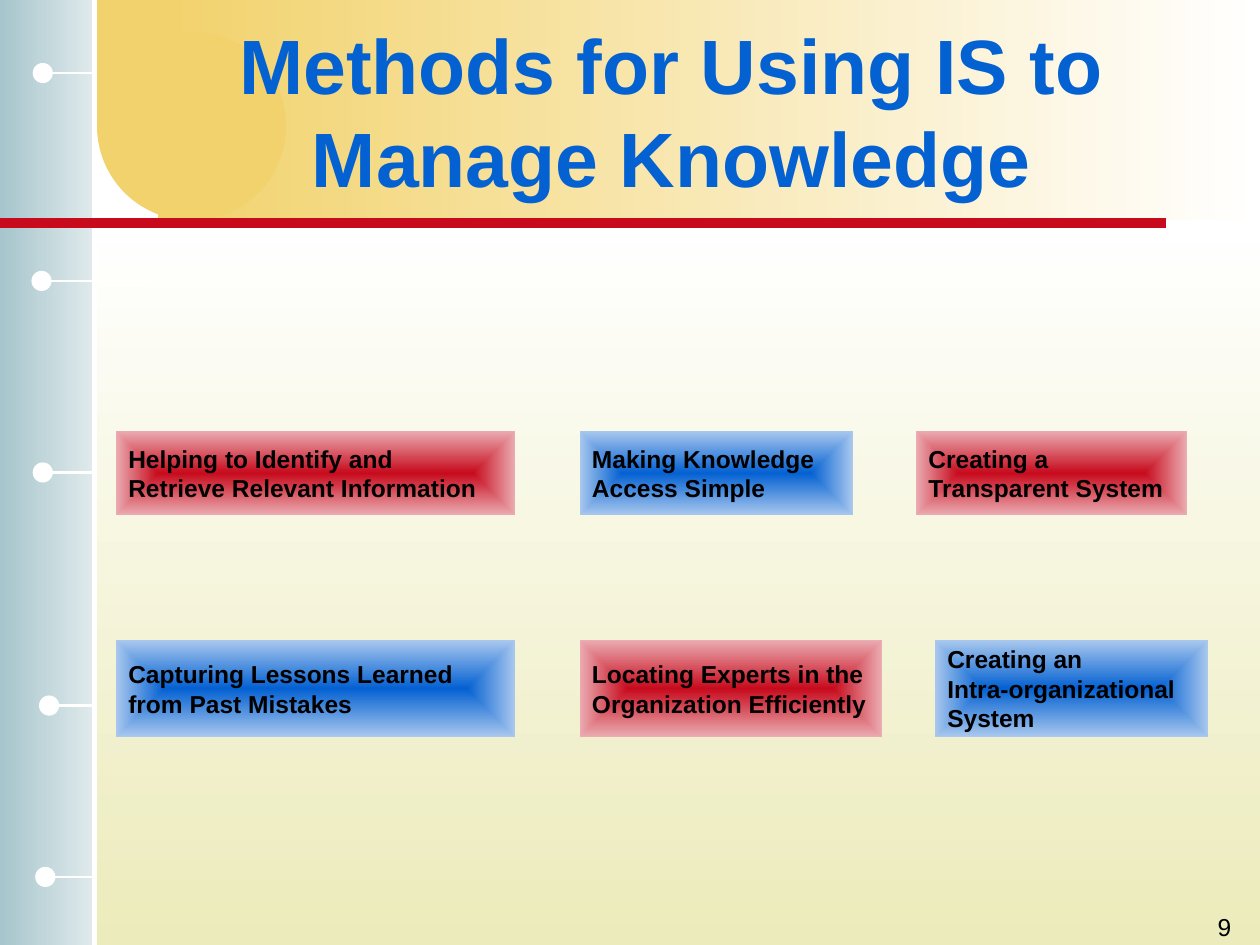
from pptx import Presentation
from pptx.dml.color import RGBColor
from pptx.enum import shapes, text
from pptx.oxml import parse_xml
from pptx.oxml import ns
from pptx.util import Inches, Pt

# Content
TITLE = "Methods for Using IS to Manage Knowledge"
PAGE_NUMBER = "9"
# Rows of methods: top, height, then (left, width, tone, lines)
METHOD_ROWS = [
    (3.42, 0.67, [
        (0.92, 3.17, "red", ["Helping to Identify and", "Retrieve Relevant Information"]),
        (4.6, 2.17, "blue", ["Making Knowledge", "Access Simple"]),
        (7.27, 2.15, "red", ["Creating a", "Transparent System"]),
    ]),
    (5.08, 0.77, [
        (0.92, 3.17, "blue", ["Capturing Lessons Learned", "from Past Mistakes"]),
        (4.6, 2.4, "red", ["Locating Experts in the", "Organization Efficiently"]),
        (7.42, 2.17, "blue", ["Creating an", "Intra-organizational", "System"]),
    ]),
]
# Pins on the side band: centre height, line start, line end, dot left
PINS = [
    (0.58, 0.75, 0.42, 0.26),
    (2.23, 1.17, 0.33, 0.25),
    (3.75, 0.73, 0.4, 0.26),
    (5.6, 0.75, 0.42, 0.31),
    (6.96, 0.73, 0.4, 0.28),
]
DOT = 0.16

THEME = {
    "font": "Arial", "title_size": 44, "label_size": 14,
    "title": "0461D2", "ink": "000000", "white": "FFFFFF",
    "gold": "F2D26C", "rule": "C70B1D",
    "page": ("FFFFFF", "ECEBBB"), "band": ("E0EAEC", "A6C5CC"),
    "header": ("FFFFFF", "F2D26C"),
    "red": ("C70B1D", "EBACB2"), "blue": ("0461D2", "A9C8EE"),
}
RECT, OVAL = shapes.MSO_SHAPE.RECTANGLE, shapes.MSO_SHAPE.OVAL

prs = Presentation()
prs.slide_width, prs.slide_height = Inches(10), Inches(7.5)
slide = prs.slides.add_slide(prs.slide_layouts[5])


def color(name):
    return RGBColor.from_string(THEME[name])


def add_block(kind, box, tone, angle=None):
    """Borderless shape; a tone with two colours becomes a gradient."""
    block = slide.shapes.add_shape(kind, *map(Inches, box))
    block.shadow.inherit = False
    block.line.fill.background()
    if isinstance(THEME[tone], str):
        block.fill.solid()
        block.fill.fore_color.rgb = color(tone)
        return block
    block.fill.gradient()
    for stop, value in zip(block.fill.gradient_stops, THEME[tone]):
        stop.color.rgb = RGBColor.from_string(value)
    if angle is not None:
        block.fill.gradient_angle = angle
    else:  # gradient from the centre out to the edges
        linear = block._element.spPr.find(".//" + ns.qn("a:lin"))
        linear.getparent().replace(linear, parse_xml(
            f'<a:path {ns.nsdecls("a")} path="rect">'
            '<a:fillToRect l="50000" t="50000" r="50000" b="50000"/></a:path>'))
    return block


def add_line(x1, y1, x2, y2, tone, width):
    line = slide.shapes.add_connector(
        shapes.MSO_CONNECTOR.STRAIGHT, *map(Inches, (x1, y1, x2, y2)))
    line.line.color.rgb = color(tone)
    line.line.width = Pt(width)
    line._element.spPr.append(parse_xml(f'<a:effectLst {ns.nsdecls("a")}/>'))


def write(frame, lines, align, anchor, wrap=True, size="label_size", tone="ink", bold=True):
    settings = {"word_wrap": wrap, "vertical_anchor": anchor,
                "auto_size": text.MSO_AUTO_SIZE.NONE,
                "margin_left": Inches(0.1), "margin_right": Inches(0.1),
                "margin_top": Inches(0.05), "margin_bottom": Inches(0.05)}
    for key, value in settings.items():
        setattr(frame, key, value)
    frame.text = "\n".join(lines)
    for paragraph in frame.paragraphs:
        paragraph.alignment = align
        for run in paragraph.runs:
            for key, value in {"name": THEME["font"], "size": Pt(THEME[size]), "bold": bold}.items():
                setattr(run.font, key, value)
            run.font.color.rgb = color(tone)


# Background panels
add_block(RECT, (0.73, 1.77, 9.27, 5.73), "page", 270)
add_block(RECT, (0, 0, 0.75, 7.5), "band", 180)
add_block(RECT, (1.25, 0, 8.75, 1.75), "header", 180)
add_block(OVAL, (0.77, 0.25, 1.5, 1.5), "gold")
add_block(RECT, (0.77, 0, 0.67, 0.96), "gold")

# Band edge, header rule and pins
add_line(0.75, 0, 0.75, 7.5, "white", 3)
add_line(0, 1.77, 9.25, 1.77, "rule", 6)
for middle, start, end, dot_left in PINS:
    add_line(start, middle, end, middle, "white", 1.5)
    add_block(OVAL, (dot_left, middle - DOT / 2, DOT, DOT), "white")

# Title, brought in front of the panels
heading = slide.shapes.title
heading.left, heading.top, heading.width, heading.height = map(Inches, (1.08, 0.25, 8.5, 1.25))
write(heading.text_frame, [TITLE], text.PP_ALIGN.CENTER, text.MSO_ANCHOR.MIDDLE,
      size="title_size", tone="title")
slide.shapes._spTree.append(heading._element)

# Method boxes
for top, height, methods in METHOD_ROWS:
    for left, width, tone, lines in methods:
        method = add_block(RECT, (left, top, width, height), tone)
        write(method.text_frame, lines, text.PP_ALIGN.LEFT, text.MSO_ANCHOR.MIDDLE, wrap=False)

# Page number
page_number = slide.shapes.add_textbox(*map(Inches, (7.79, 7.19, 2.08, 0.5)))
write(page_number.text_frame, [PAGE_NUMBER], text.PP_ALIGN.RIGHT, text.MSO_ANCHOR.TOP, bold=False)

prs.save("out.pptx")
